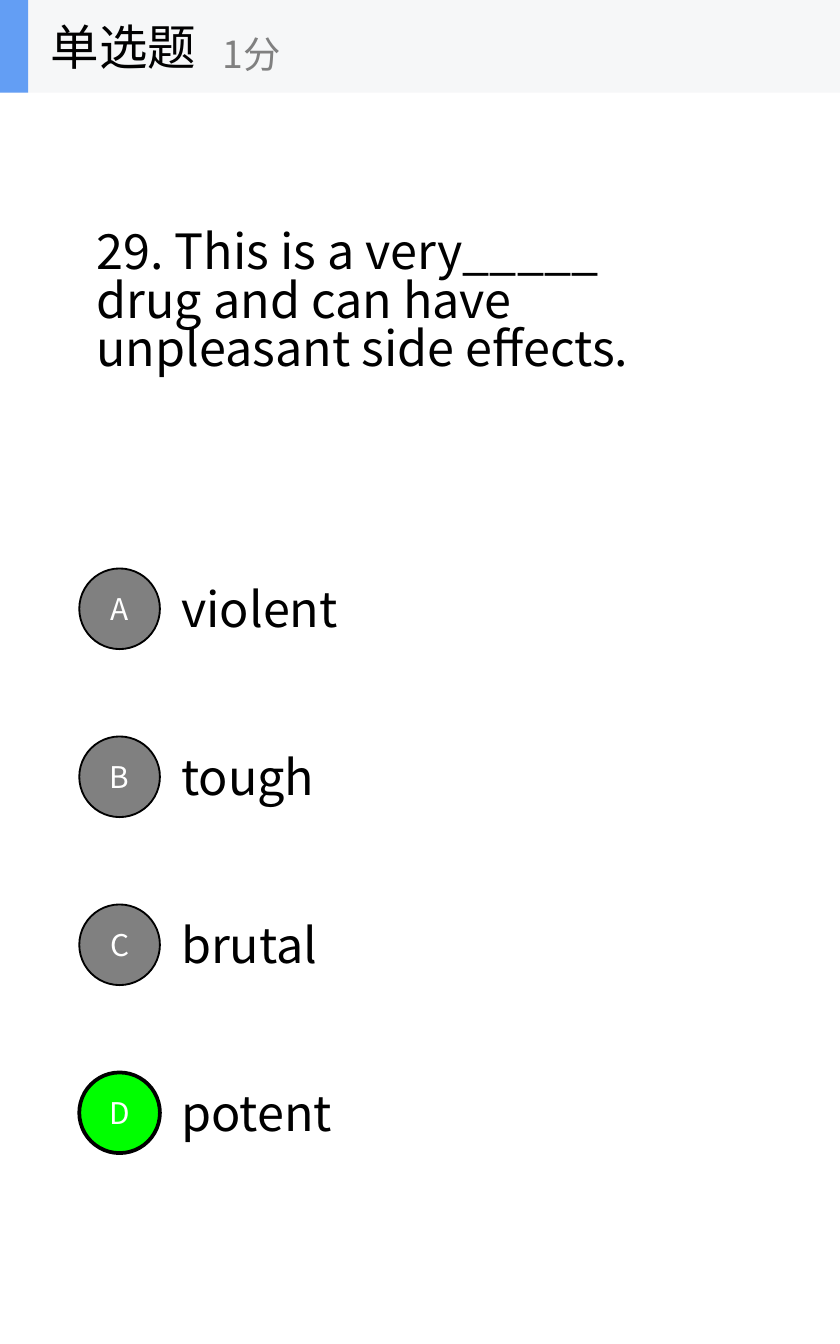
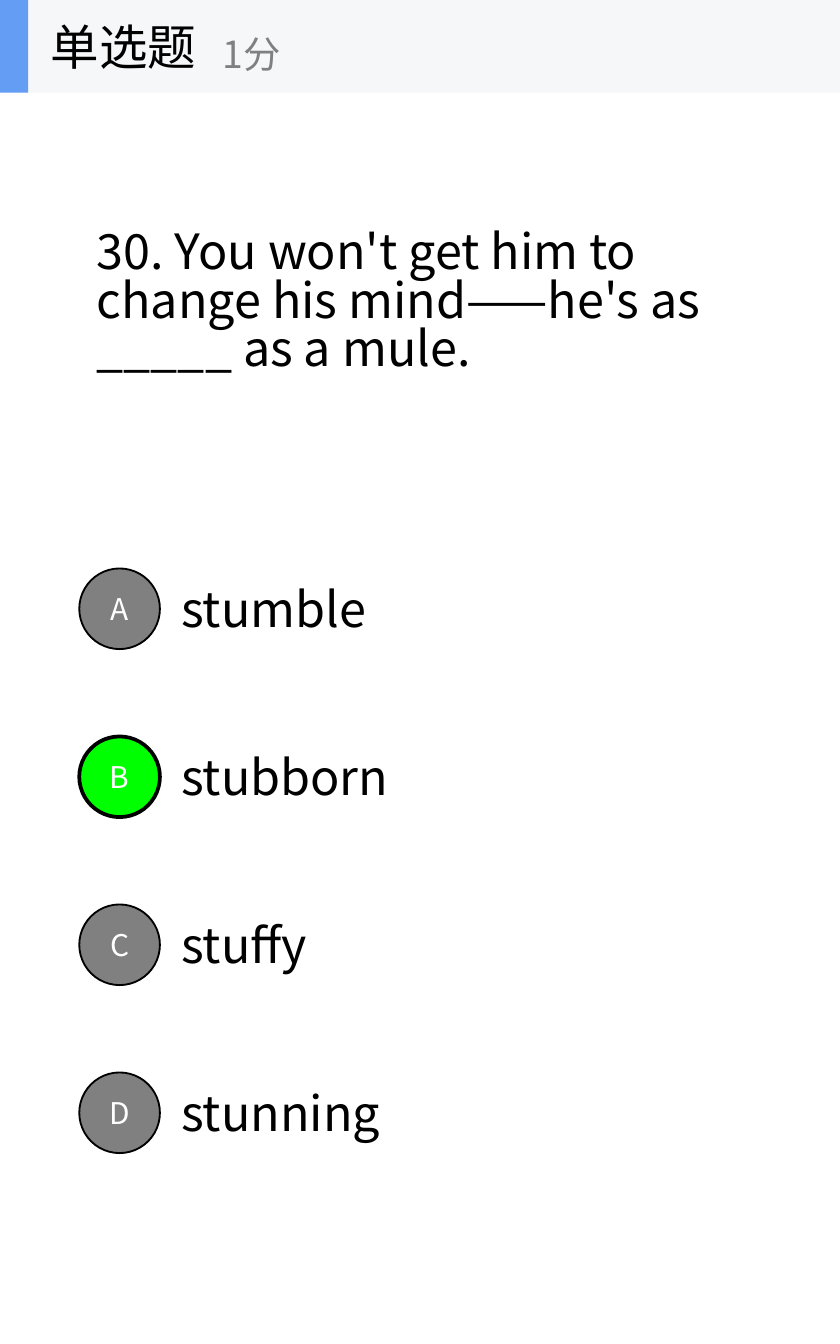
from lxml import etree
from pptx import Presentation
from pptx import util as u
from pptx.dml.color import RGBColor
from pptx.enum import shapes, text
from pptx.oxml.ns import qn

COLORS = {
    "ink": "000000",
    "muted": "808080",
    "letter": "FFFFFF",
    "correct": "00FF00",
    "band": "F6F7F8",
    "accent": "639EF4",
}
FONT = "Noto Sans CJK SC"
QUESTIONS = [
    {
        "stem": "29. This is a very_____ drug and can have unpleasant side effects.",
        "width": 4.66,
        "choices": [("violent", 1.48), ("tough", 1.34), ("brutal", 1.33), ("potent", 1.46)],
        "answer": "D",
    },
    {
        "stem": "30. You won't get him to change his mind——he's as _____ as a mule.",
        "width": 5,
        "choices": [("stumble", 1.7), ("stubborn", 1.88), ("stuffy", 1.28), ("stunning", 1.82)],
        "answer": "B",
    },
]


def write(part, words, size, color, paragraph_format=None, **frame_format):
    frame = part.text_frame
    frame_format = {"vertical_anchor": text.MSO_ANCHOR.MIDDLE, "word_wrap": True} | frame_format
    for key, value in frame_format.items():
        setattr(frame, key, value)
    paragraph = frame.paragraphs[0]
    for key, value in (paragraph_format or {}).items():
        setattr(paragraph, key, value)
    run = paragraph.add_run()
    run.text = words
    for key, value in {"name": FONT, "size": u.Pt(size)}.items():
        setattr(run.font, key, value)
    run.font.color.rgb = RGBColor.from_string(COLORS[color])
    etree.SubElement(run.font._element, qn("a:ea"), typeface=FONT)


def draw(parent, kind, box, fill, outline=0):
    part = parent.add_shape(kind, *map(u.Inches, box))
    part.shadow.inherit = False
    part.fill.solid()
    part.fill.fore_color.rgb = RGBColor.from_string(COLORS[fill])
    if outline:
        part.line.width = u.Pt(outline)
        part.line.color.rgb = RGBColor.from_string(COLORS["ink"])
    else:
        part.line.fill.background()
    return part


deck = Presentation()
deck.slide_width, deck.slide_height = u.Inches(6.25), u.Inches(10)

for question in QUESTIONS:
    canvas = deck.slides.add_slide(deck.slide_layouts[6]).shapes

    stem = canvas.add_textbox(*map(u.Inches, (0.62, 1.56, question["width"], 1.4)))
    write(stem, question["stem"], 26, "ink", {"line_spacing": 0.83})

    for row, (letter, (word, width)) in enumerate(zip("ABCD", question["choices"])):
        top = 4.23 + 1.25 * row
        choice = canvas.add_textbox(*map(u.Inches, (1.25, top + 0.03, width, 0.53)))
        write(choice, word, 26, "ink")
        fill, outline = ("correct", 2) if letter == question["answer"] else ("muted", 1)
        bubble = draw(canvas, shapes.MSO_SHAPE.OVAL, (0.59, top, 0.6, 0.6), fill, outline)
        write(bubble, letter, 16, "letter", {"alignment": text.PP_ALIGN.CENTER})

    header = canvas.add_group_shape().shapes
    for width, fill in [(6.25, "band"), (0.21, "accent")]:
        draw(header, shapes.MSO_SHAPE.RECTANGLE, (0, 0, width, 0.69), fill)
    for words, box, size, color in [
        ("单选题", (0.28, 0, 2.08, 0.69), 26, "ink"),
        ("1分", (1.56, 0.12, 2.5, 0.56), 20, "muted"),
    ]:
        label = header.add_textbox(*map(u.Inches, box))
        write(label, words, size, color, word_wrap=False)

deck.save("out.pptx")
